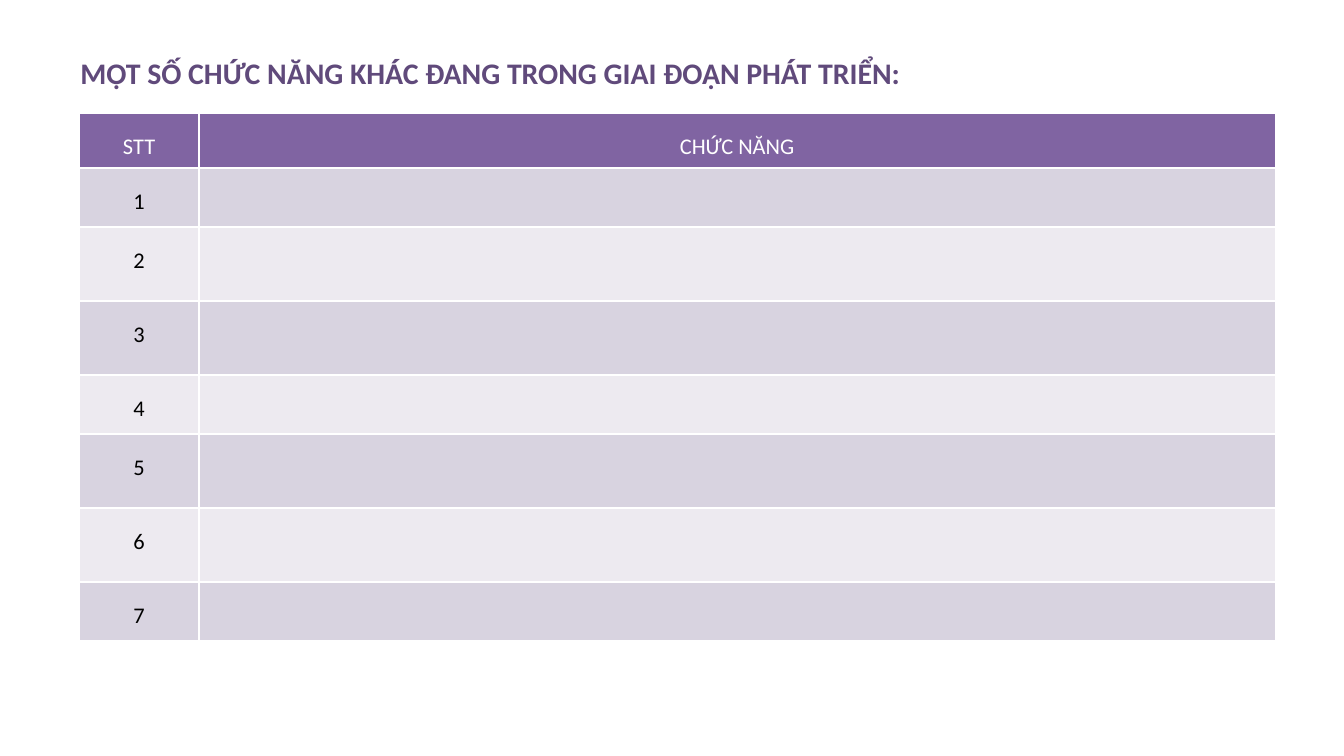
"""Build a slide with a table of functions still in development."""
from pptx import Presentation
from pptx.dml.color import RGBColor
from pptx.enum import text
from pptx.util import Inches, Pt

COLORS = {
    "title": "604A7B",
    "header": "8064A2",
    "odd": "D8D3E0",
    "even": "EDEAF0",
    "header_text": "FFFFFF",
    "body_text": "000000",
}


def style_paragraph(paragraph, size, color, bold, alignment):
    paragraph.alignment = alignment
    paragraph.line_spacing = 1.5
    paragraph.font.name = "Calibri"
    paragraph.font.size = Pt(size)
    paragraph.font.bold = bold
    paragraph.font.color.rgb = RGBColor.from_string(COLORS[color])


presentation = Presentation()
presentation.slide_width = Inches(10)
presentation.slide_height = Inches(10 * 9 / 16)
slide = presentation.slides.add_slide(presentation.slide_layouts[6])

title = slide.shapes.add_textbox(Inches(0.5), Inches(0), Inches(9), Inches(0.94))
title.text_frame.word_wrap = True
title.text_frame.vertical_anchor = text.MSO_ANCHOR.MIDDLE
title_paragraph = title.text_frame.paragraphs[0]
title_paragraph.text = "MỘT SỐ CHỨC NĂNG KHÁC ĐANG TRONG GIAI ĐOẠN PHÁT TRIỂN:"
style_paragraph(title_paragraph, 16, "title", True, text.PP_ALIGN.JUSTIFY)

column_widths = [0.89, 8.01]
row_heights = [0.41, 0.44, 0.55, 0.55, 0.44, 0.55, 0.55, 0.44]
rows = [("STT", "CHỨC NĂNG")] + [(str(number), "") for number in range(1, len(row_heights))]

table = slide.shapes.add_table(
    len(rows), len(column_widths), Inches(0.59), Inches(0.84),
    Inches(sum(column_widths)), Inches(sum(row_heights)),
).table
for column, width in zip(table.columns, column_widths):
    column.width = Inches(width)

for index, (row, height, labels) in enumerate(zip(table.rows, row_heights, rows)):
    row.height = Inches(height)
    fill_color = "header" if index == 0 else "odd" if index % 2 else "even"
    text_color = "header_text" if index == 0 else "body_text"
    for cell, label in zip(row.cells, labels):
        cell.fill.solid()
        cell.fill.fore_color.rgb = RGBColor.from_string(COLORS[fill_color])
        cell.margin_left = cell.margin_right = Inches(0.11)
        cell.margin_top = cell.margin_bottom = Inches(0.05)
        paragraph = cell.text_frame.paragraphs[0]
        if label:
            paragraph.text = label
        style_paragraph(paragraph, 12, text_color, False, text.PP_ALIGN.CENTER)

presentation.save("out.pptx")
